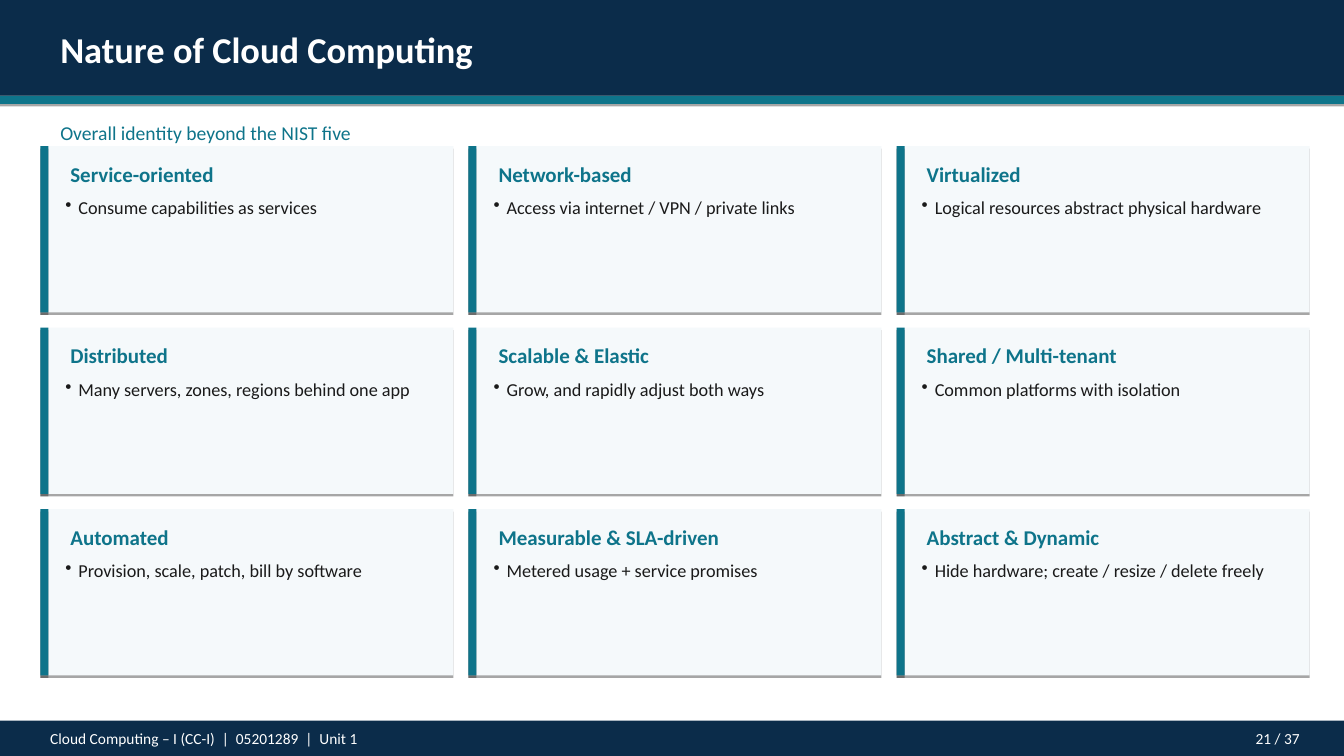
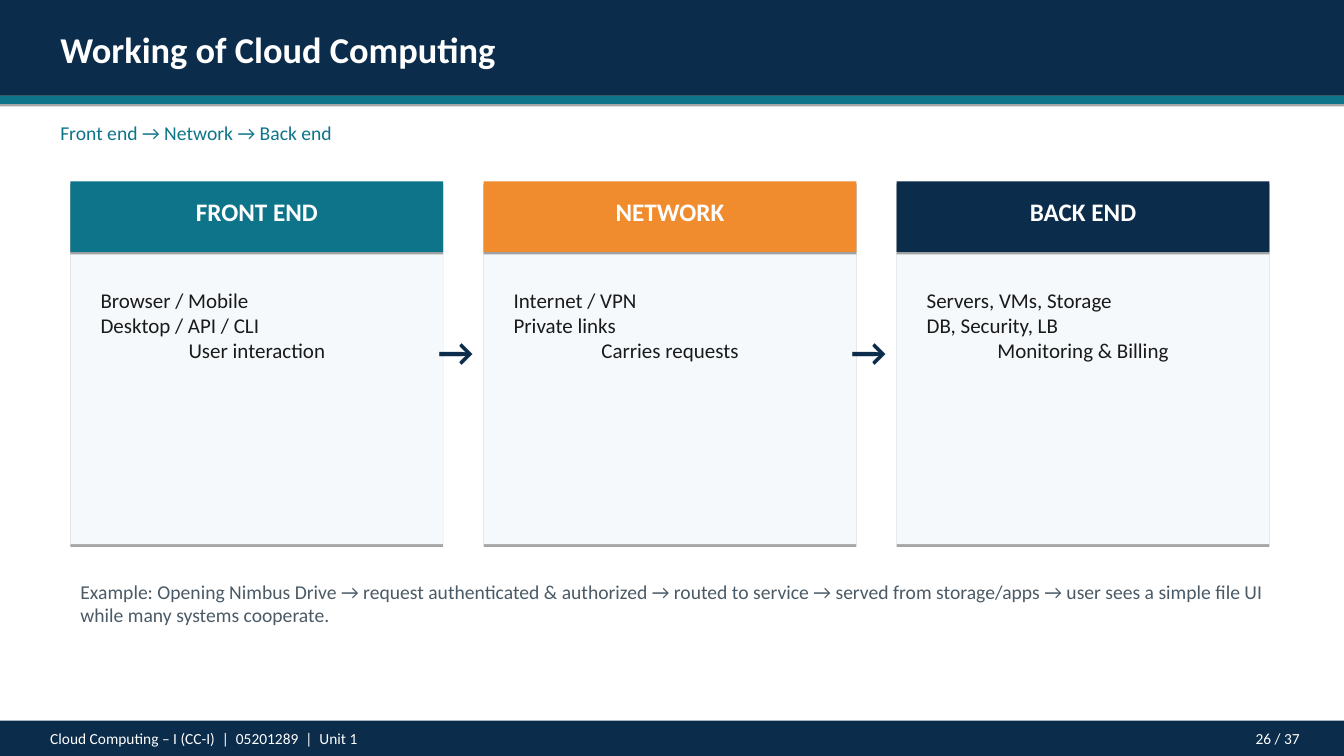
from lxml import etree
from pptx import Presentation
from pptx import util as u
from pptx.dml.color import RGBColor
from pptx.enum import shapes, text
from pptx.oxml import ns

PX = 9144
W, H = 1334, 750
FONT = "Calibri"
PAGES = 37
FOOTER = "Cloud Computing – I (CC-I)  |  05201289  |  Unit 1"

WHITE = RGBColor(0xFF, 0xFF, 0xFF)
NAVY = RGBColor(0x0B, 0x2C, 0x4A)
TEAL = RGBColor(0x0E, 0x74, 0x8A)
ORANGE = RGBColor(0xF0, 0x8C, 0x2E)
PANEL = RGBColor(0xF5, 0xF9, 0xFB)
INK = RGBColor(0x1A, 0x1A, 0x1A)
SLATE = RGBColor(0x4A, 0x5A, 0x66)

LEFT, CENTER, RIGHT = text.PP_ALIGN.LEFT, text.PP_ALIGN.CENTER, text.PP_ALIGN.RIGHT

TITLE = (WHITE, {"size": u.Pt(26), "bold": True})
SUBTITLE = (TEAL, {"size": u.Pt(14)})
FOOT = (WHITE, {"size": u.Pt(11)})
CARD_HEAD = (TEAL, {"size": u.Pt(15), "bold": True})
CARD_BODY = (INK, {"size": u.Pt(13)})
STAGE_HEAD = (WHITE, {"size": u.Pt(18), "bold": True})
STAGE_BODY = (INK, {"size": u.Pt(15)})
ARROW = (NAVY, {"size": u.Pt(28), "bold": True})
EXAMPLE = (SLATE, {"size": u.Pt(14)})

CARDS = [
    ("Service-oriented", "Consume capabilities as services"),
    ("Network-based", "Access via internet / VPN / private links"),
    ("Virtualized", "Logical resources abstract physical hardware"),
    ("Distributed", "Many servers, zones, regions behind one app"),
    ("Scalable & Elastic", "Grow, and rapidly adjust both ways"),
    ("Shared / Multi-tenant", "Common platforms with isolation"),
    ("Automated", "Provision, scale, patch, bill by software"),
    ("Measurable & SLA-driven", "Metered usage + service promises"),
    ("Abstract & Dynamic", "Hide hardware; create / resize / delete freely"),
]

STAGES = [
    ("FRONT END", TEAL, ["Browser / Mobile", "Desktop / API / CLI", "User interaction"]),
    ("NETWORK", ORANGE, ["Internet / VPN", "Private links", "Carries requests"]),
    ("BACK END", NAVY, ["Servers, VMs, Storage", "DB, Security, LB", "Monitoring & Billing"]),
]


def px(*values):
    return [u.Emu(v * PX) for v in values]


def add_shadow(sp):
    sp.shadow.inherit = False
    effects = sp._element.spPr.find(ns.qn("a:effectLst"))
    shadow = etree.SubElement(effects, ns.qn("a:outerShdw"), blurRad="0",
                              dist="23000", dir="5400000", rotWithShape="0")
    color = etree.SubElement(shadow, ns.qn("a:srgbClr"), val="000000")
    etree.SubElement(color, ns.qn("a:alpha"), val="35000")


def add_block(s, x, y, w, h, color):
    sp = s.shapes.add_shape(shapes.MSO_SHAPE.RECTANGLE, *px(x, y, w, h))
    sp.fill.solid()
    sp.fill.fore_color.rgb = color
    sp.line.fill.background()
    add_shadow(sp)


def add_bullet(p, indent):
    pPr = p._p.get_or_add_pPr()
    pPr.set("marL", str(indent * PX))
    pPr.set("indent", str(-indent * PX))
    etree.SubElement(pPr, ns.qn("a:buChar"), char="•")


def add_text(s, x, y, w, h, lines, style, aligns=(LEFT,), bullet=False):
    tf = s.shapes.add_textbox(*px(x, y, w, h)).text_frame
    tf.word_wrap = True
    tf.auto_size = text.MSO_AUTO_SIZE.SHAPE_TO_FIT_TEXT
    color, fmt = style
    for i, (line, align) in enumerate(zip(lines, aligns)):
        p = tf.add_paragraph() if i else tf.paragraphs[0]
        p.alignment = align
        if bullet:
            add_bullet(p, 13)
        r = p.add_run()
        r.text = line
        for name, value in {"name": FONT, **fmt}.items():
            setattr(r.font, name, value)
        r.font.color.rgb = color


def add_page(prs, title, subtitle, number):
    s = prs.slides.add_slide(prs.slide_layouts[6])
    s.background.fill.solid()
    s.background.fill.fore_color.rgb = WHITE
    add_block(s, 0, 0, W, 95, NAVY)
    add_block(s, 0, 95, W, 8, TEAL)
    add_text(s, 50, 22, 1150, 53, [title], TITLE)
    add_text(s, 50, 115, 1200, 33, [subtitle], SUBTITLE)
    add_block(s, 0, 715, W, 35, NAVY)
    add_text(s, 40, 718, 900, 28, [FOOTER], FOOT)
    add_text(s, 1120, 718, 180, 28, [f"{number} / {PAGES}"], FOOT, [RIGHT])
    return s


def add_card(s, x, y, w, h, head, body):
    add_block(s, x, y, w, h, PANEL)
    add_block(s, x, y, 8, h, TEAL)
    add_text(s, x + 20, y + 10, w - 30, 35, [head], CARD_HEAD)
    add_text(s, x + 15, y + 45, w - 25, 32, [body], CARD_BODY, bullet=True)


def add_stage(s, x, y, w, h, head, color, lines):
    add_block(s, x, y, w, h, PANEL)
    add_block(s, x, y, w, 70, color)
    add_text(s, x, y + 10, w, 40, [head], STAGE_HEAD, [CENTER])
    add_text(s, x + 20, y + 100, w - 40, 86, lines, STAGE_BODY, [LEFT, LEFT, CENTER])


def add_nature_slide(prs):
    s = add_page(prs, "Nature of Cloud Computing", "Overall identity beyond the NIST five", 21)
    w, h, gap = 410, 165, 15
    for i, (head, body) in enumerate(CARDS):
        row, col = divmod(i, 3)
        add_card(s, 40 + col * (w + gap), 145 + row * (h + gap), w, h, head, body)


def add_working_slide(prs):
    s = add_page(prs, "Working of Cloud Computing", "Front end → Network → Back end", 26)
    w, gap = 370, 40
    for i, (head, color, lines) in enumerate(STAGES):
        x = 70 + i * (w + gap)
        if i:
            add_text(s, x - 55, 320, 50, 57, ["→"], ARROW)
        add_stage(s, x, 180, w, 360, head, color, lines)
    add_text(s, 70, 570, 1200, 57, [
        "Example: Opening Nimbus Drive → request authenticated & authorized → "
        "routed to service → served from storage/apps → user sees a simple file UI "
        "while many systems cooperate."], EXAMPLE)


def main():
    prs = Presentation()
    prs.slide_width, prs.slide_height = px(W, H)
    add_nature_slide(prs)
    add_working_slide(prs)
    prs.save("out.pptx")


if __name__ == "__main__":
    main()
